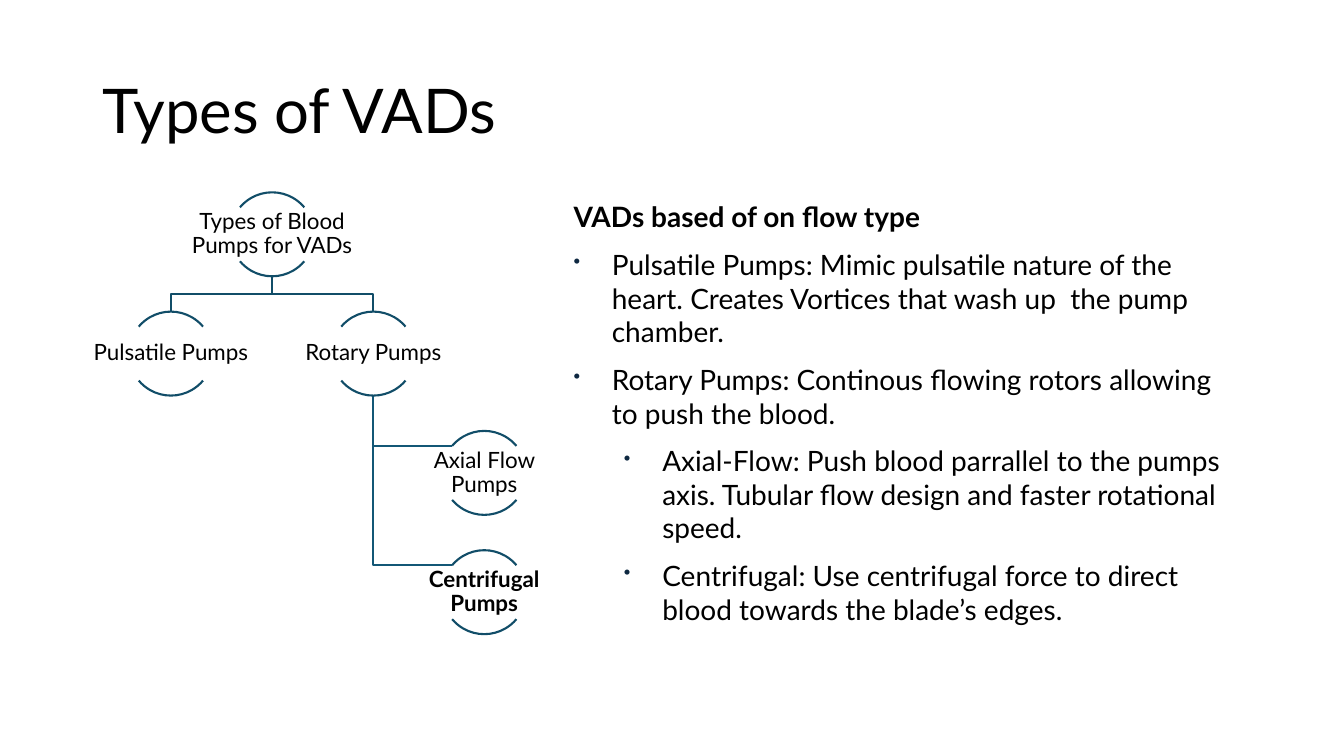
import math
import pptx
import pptx.dml.color
import pptx.enum.shapes
import pptx.enum.text
import pptx.oxml.ns
import pptx.util
from lxml import etree

COLORS = {"text": "000000", "bullet": "0E2841", "line": "114D68", "branch": "135776"}
FONT = "Lato"
GRID_UNIT = pptx.util.Inches(1) / 12
ARC_ANGLES = [(220, 320), (40, 140)]
ARC_UNIT = 0.6

NODES = {
    "root": ("Types of Blood Pumps for VADs", 0.21, 0),
    "pulsatile": ("Pulsatile Pumps", 0, 1),
    "rotary": ("Rotary Pumps", 0.42, 1),
    "axial": ("Axial Flow Pumps", 0.65, 2),
    "centrifugal": ("Centrifugal Pumps", 0.65, 3),
}
BULLETS = [
    (0, "Pulsatile Pumps: Mimic pulsatile nature of the heart. Creates Vortices that wash up  the pump chamber."),
    (0, "Rotary Pumps: Continous flowing rotors allowing to push the blood."),
    (1, "Axial-Flow: Push blood parrallel to the pumps axis. Tubular flow design and faster rotational speed."),
    (1, "Centrifugal: Use centrifugal force to direct blood towards the blade’s edges."),
]


def color(name):
    """Return the named palette colour."""
    return pptx.dml.color.RGBColor.from_string(COLORS[name])


def grid(left, top, width, height):
    """Convert a box in grid columns and rows to slide lengths."""
    return [round(value * GRID_UNIT) for value in (left, top, width, height)]


def style_font(paragraph, size, bold=False):
    """Set the font of a whole paragraph."""
    paragraph.font.name = FONT
    paragraph.font.size = pptx.util.Pt(size)
    paragraph.font.bold = bold
    paragraph.font.color.rgb = color("text")


def style_line(shape, name="line"):
    """Leave a shape with only its outline."""
    shape.shadow.inherit = False
    shape.fill.background()
    shape.line.color.rgb = color(name)
    shape.line.width = pptx.util.Pt(1.5)


def add_text_box(slide, box):
    """Add a wrapping, vertically centred text frame."""
    frame = slide.shapes.add_textbox(*box).text_frame
    frame.word_wrap = True
    frame.vertical_anchor = pptx.enum.text.MSO_ANCHOR.MIDDLE
    return frame


def add_title(slide, box):
    """Place and format the title placeholder."""
    title = slide.shapes.title
    title.left, title.top, title.width, title.height = box
    title.text_frame.text = "Types of VADs"
    title.text_frame.auto_size = pptx.enum.text.MSO_AUTO_SIZE.NONE
    title.text_frame.vertical_anchor = pptx.enum.text.MSO_ANCHOR.MIDDLE
    paragraph = title.text_frame.paragraphs[0]
    paragraph.alignment = pptx.enum.text.PP_ALIGN.LEFT
    paragraph.line_spacing = 0.9
    style_font(paragraph, 44)


def add_bullet(paragraph, level):
    """Give a paragraph a small hanging bullet."""
    paragraph.level = level
    properties = paragraph._p.get_or_add_pPr()
    indent = pptx.util.Inches(0.38)
    properties.set("marL", str(indent + level * pptx.util.Inches(0.5)))
    properties.set("indent", str(-indent))
    qn = pptx.oxml.ns.qn
    bullet_color = etree.SubElement(properties, qn("a:buClr"))
    etree.SubElement(bullet_color, qn("a:srgbClr"), val=COLORS["bullet"])
    etree.SubElement(properties, qn("a:buSzPct"), val="70000")
    etree.SubElement(properties, qn("a:buChar"), char="•")


def add_descriptions(slide, box):
    """Write the heading and the bulleted pump descriptions."""
    frame = add_text_box(slide, box)
    heading = frame.paragraphs[0]
    heading.text = "VADs based of on flow type"
    heading.space_after = pptx.util.Pt(6)
    style_font(heading, 20, bold=True)
    for level, text in BULLETS:
        paragraph = frame.add_paragraph()
        paragraph.text = text
        paragraph.space_before = pptx.util.Pt(4)
        paragraph.space_after = pptx.util.Pt(6)
        add_bullet(paragraph, level)
        style_font(paragraph, 20)


def add_elbow(slide, points, name):
    """Draw an open line through the points."""
    start, *rest = [(round(x), round(y)) for x, y in points]
    builder = slide.shapes.build_freeform(*start, scale=1)
    builder.add_line_segments(rest, close=False)
    style_line(builder.convert_to_shape(), name)


def add_node(slide, text, center, top, width, diameter, bold):
    """Draw a label between an upper and a lower arc."""
    for angles in ARC_ANGLES:
        arc = slide.shapes.add_shape(
            pptx.enum.shapes.MSO_SHAPE.ARC,
            round(center - diameter / 2), round(top), round(diameter), round(diameter))
        for index, angle in enumerate(angles):
            arc.adjustments[index] = angle * ARC_UNIT
        style_line(arc)
    label = (center - width / 2, top + 0.18 * diameter, width, 0.64 * diameter)
    frame = add_text_box(slide, [round(value) for value in label])
    frame.margin_left = frame.margin_right = pptx.util.Inches(0.01)
    frame.margin_top = frame.margin_bottom = pptx.util.Inches(0.01)
    paragraph = frame.paragraphs[0]
    paragraph.text = text
    paragraph.alignment = pptx.enum.text.PP_ALIGN.CENTER
    paragraph.line_spacing = 0.9
    paragraph.space_after = pptx.util.Pt(5.6)
    style_font(paragraph, 16, bold)


def add_pump_tree(slide, box):
    """Draw the hierarchy of pump types within the box."""
    left, top, width, height = box
    node_width, diameter, row_step = 0.35 * width, 0.19 * height, 0.27 * height
    spots = {key: (left + share * width + node_width / 2, top + row * row_step)
             for key, (text, share, row) in NODES.items()}
    radius, arc_end = diameter / 2, math.radians(50)
    x, y = spots["rotary"]
    for key in ("centrifugal", "axial"):
        child_x, child_y = spots[key]
        end_x = child_x - radius * math.sin(arc_end)
        end_y = child_y + radius * (1 - math.cos(arc_end))
        add_elbow(slide, [(x, y + diameter), (x, end_y), (end_x, end_y)], "branch")
    x, y = spots["root"]
    for key in ("rotary", "pulsatile"):
        child_x, child_y = spots[key]
        middle = (y + diameter + child_y) / 2
        add_elbow(slide, [(x, y + diameter), (x, middle), (child_x, middle), (child_x, child_y)], "line")
    for key, (text, share, row) in NODES.items():
        add_node(slide, text, *spots[key], node_width, diameter, key == "centrifugal")


def main():
    """Build and save the slide."""
    deck = pptx.Presentation()
    deck.slide_width, deck.slide_height = grid(0, 0, 160, 90)[2:]
    slide = deck.slides.add_slide(deck.slide_layouts.get_by_name("Title Only"))
    add_title(slide, grid(11, 4.8, 138, 17.4))
    add_descriptions(slide, grid(67.1, 18.8, 82, 60.7))
    add_pump_tree(slide, grid(10.3, 22.9, 57.4, 52.6))
    deck.save("out.pptx")


if __name__ == "__main__":
    main()
